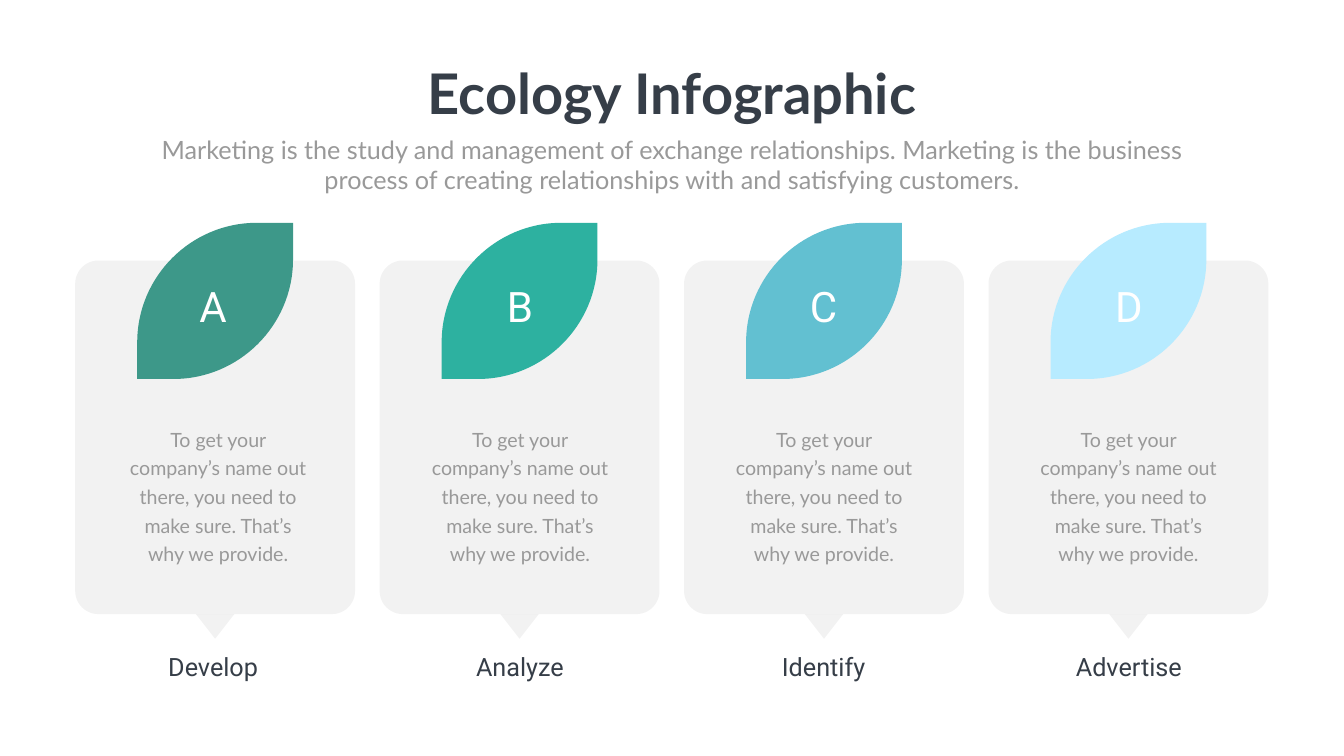
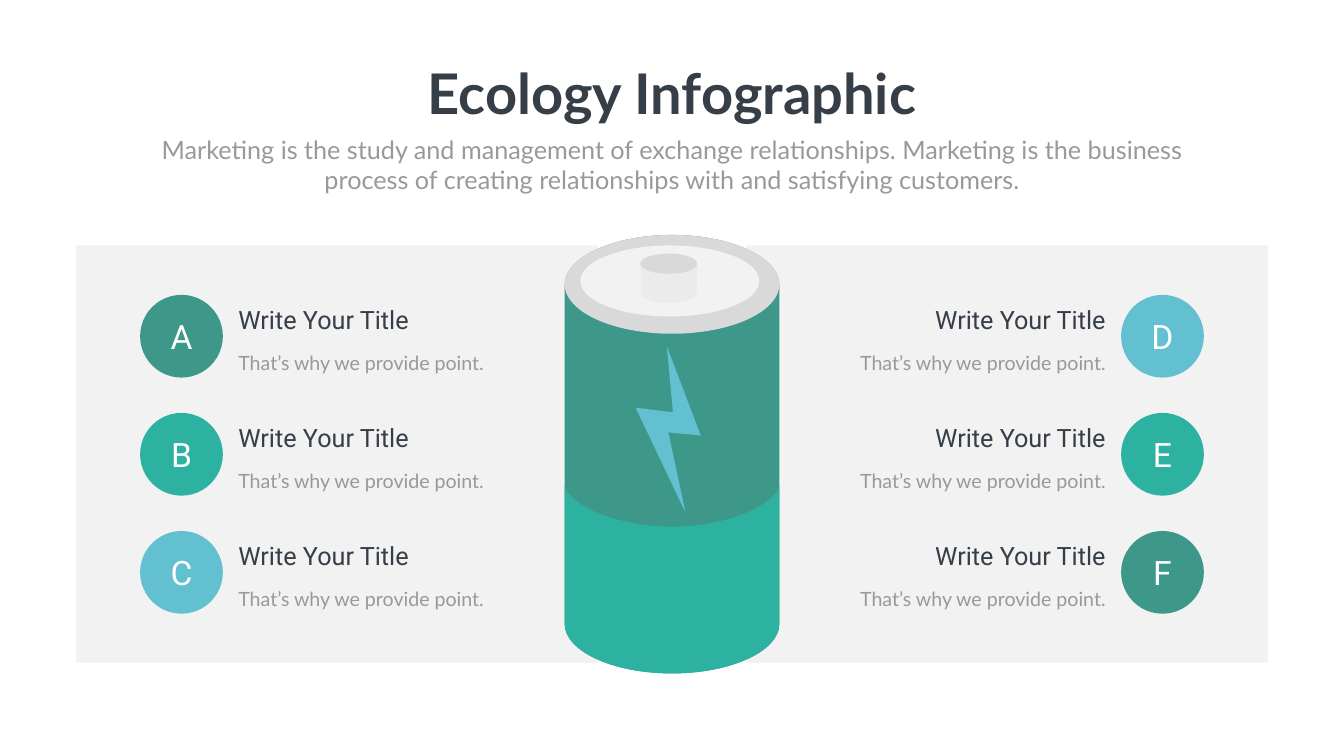
from lxml import etree
from pptx import Presentation
from pptx.dml.color import RGBColor
from pptx.enum.shapes import MSO_SHAPE
from pptx.enum.text import MSO_AUTO_SIZE, PP_ALIGN
from pptx.oxml.ns import qn
from pptx.util import Cm, Pt

ROUNDED = MSO_SHAPE.ROUNDED_RECTANGLE
RECTANGLE = MSO_SHAPE.RECTANGLE
ELLIPSE = MSO_SHAPE.OVAL
POINTER = MSO_SHAPE.FLOWCHART_MERGE
LEFT, CENTER, RIGHT = PP_ALIGN.LEFT, PP_ALIGN.CENTER, PP_ALIGN.RIGHT
FIT_SHAPE = MSO_AUTO_SIZE.SHAPE_TO_FIT_TEXT

SLIDE_WIDTH, SLIDE_HEIGHT = 67.72, 38.1
MIDDLE = SLIDE_WIDTH / 2
ROUNDNESS = 0.55

HEADING_FONT, BODY_FONT = "Roboto", "Lato"
DARK, MUTED, WHITE, VEIL = "363E48", "999999", "FFFFFF", "808080"
GREEN, TEAL, BLUE, SKY = "3D9889", "2DB1A0", "62C0D1", "B7EBFF"
RIM, LID, NUB = "D9D9D9", "F2F2F2", "EBEBEB"

TITLE = "Ecology Infographic"
SUBTITLE = (
    "Marketing is the study and management of exchange relationships. "
    "Marketing is the business process of creating relationships with "
    "and satisfying customers."
)
CARD_TEXT = (
    "To get your company’s name out there, you need to make sure. "
    "That’s why we provide."
)
CARDS = [
    ("A", "Develop", GREEN, 10.74, 10.99),
    ("B", "Analyze", TEAL, 26.2, 26.2),
    ("C", "Identify", BLUE, 41.5, 41.52),
    ("D", "Advertise", SKY, 56.88, 56.86),
]
POINT_TITLE = "Write Your Title"
POINT_TEXT = "That’s why we provide point."
LEFT_POINTS = [("A", GREEN), ("B", TEAL), ("C", BLUE)]
RIGHT_POINTS = [("D", BLUE), ("E", TEAL), ("F", GREEN)]


def rgb(color):
    return RGBColor.from_string(color)


def paint(shape, color, alpha=None):
    shape.shadow.inherit = False
    shape.line.fill.background()
    shape.fill.solid()
    shape.fill.fore_color.rgb = rgb(color)
    if alpha:
        swatch = shape._element.spPr.find(qn("a:solidFill"))[0]
        etree.SubElement(swatch, qn("a:alpha"), val=str(alpha * 1000))
    return shape


def add_block(slide, kind, left, top, width, height, color, alpha=None):
    block = slide.shapes.add_shape(
        kind, Cm(left), Cm(top), Cm(width), Cm(height)
    )
    return paint(block, color, alpha)


def toward(point, corner):
    return tuple(p + ROUNDNESS * (c - p) for p, c in zip(point, corner))


def add_outline(slide, start, steps, color):
    """Each step is (end,) for a line or (corner, end) for a bend."""
    strokes, here = [], start
    for *corner, end in steps:
        bend = [toward(p, c) for c in corner for p in (here, end)]
        strokes.append(bend + [end])
        here = end

    builder = slide.shapes.build_freeform(Cm(start[0]), Cm(start[1]))
    builder.add_line_segments(
        [(Cm(x), Cm(y)) for stroke in strokes for x, y in stroke], close=True
    )
    outline = builder.convert_to_shape()

    segments = iter(list(outline._element.iter(qn("a:lnTo"))))
    for stroke in strokes:
        first, *others = [next(segments) for _ in stroke]
        if others:
            first.tag = qn("a:cubicBezTo")
        for other in others:
            first.append(other[0])
            other.getparent().remove(other)
    return paint(outline, color)


def add_text(slide, left, top, width, height, text, size, color,
             font=HEADING_FONT, align=CENTER, bold=False, spacing=None,
             wrap=True):
    box = slide.shapes.add_textbox(Cm(left), Cm(top), Cm(width), Cm(height))
    frame = box.text_frame
    frame.word_wrap = wrap
    frame.auto_size = FIT_SHAPE
    paragraph = frame.paragraphs[0]
    paragraph.alignment = align
    if spacing:
        paragraph.line_spacing = Pt(spacing)
    run = paragraph.add_run()
    run.text = text
    run.font.size = Pt(size)
    run.font.name = font
    run.font.bold = bold
    run.font.color.rgb = rgb(color)


def add_centered(slide, center, top, width, height, *content, **style):
    add_text(slide, center - width / 2, top, width, height, *content, **style)


def add_header(slide):
    add_centered(slide, MIDDLE, 2.84, 25.68, 3.68, TITLE, 80, DARK,
                 font=BODY_FONT, bold=True, wrap=False)
    add_centered(slide, MIDDLE, 6.63, 52.88, 3.33, SUBTITLE, 36, MUTED,
                 font=BODY_FONT)


def add_leaf(slide, center, top, color):
    width, height, radius = 7.85, 7.87, 6.02
    left, right, bottom = center - width / 2, center + width / 2, top + height
    add_outline(slide, (left, bottom), [
        ((right - radius, bottom),),
        ((right, bottom), (right, bottom - radius)),
        ((right, top),),
        ((left + radius, top),),
        ((left, top), (left, top + radius)),
    ], color)


def add_card(slide, left, letter, label, color, label_center, text_center):
    width, pointer_width = 14.1, 1.93
    center = left + width / 2
    card = add_block(slide, ROUNDED, left, 13.13, width, 17.82, VEIL, 10)
    card.adjustments[0] = 0.083
    add_block(slide, POINTER, center - pointer_width / 2, 30.95,
              pointer_width, 1.24, VEIL, 10)
    add_leaf(slide, center, 11.23, color)
    add_centered(slide, label_center, 14.02, 3, 2.82, letter, 60, WHITE)
    add_centered(slide, text_center, 21.18, 9.52, 7.42, CARD_TEXT, 28, MUTED,
                 font=BODY_FONT, spacing=40.8)
    add_centered(slide, label_center, 32.69, 7.57, 1.8, label, 36, DARK)


def add_panel(slide, points, mirrored):
    def place(left, width):
        return SLIDE_WIDTH - left - width if mirrored else left

    align = RIGHT if mirrored else LEFT
    add_block(slide, RECTANGLE, place(3.84, 26.29), 12.37, 26.29, 21.03,
              VEIL, 10)
    badge = 4.17
    badge_left = place(7.06, badge)
    for row, (letter, color) in enumerate(points):
        top = 14.86 + 5.95 * row
        add_block(slide, ELLIPSE, badge_left, top, badge, badge, color)
        add_centered(slide, badge_left + badge / 2, top + 0.92, 2.51, 2.31,
                     letter, 48, WHITE)
        add_text(slide, place(11.76, 13.59), top + 2.35, 13.59, 1.63,
                 POINT_TEXT, 28, MUTED, font=BODY_FONT, align=align,
                 spacing=43)
        add_text(slide, place(11.76, 11.2), top + 0.36, 11.2, 1.8,
                 POINT_TITLE, 36, DARK, align=align)


def round_base(left, center, right, bottom, cap):
    return [
        ((left, bottom - cap),),
        ((left, bottom), (center, bottom)),
        ((right, bottom), (right, bottom - cap)),
    ]


def add_cylinder(slide, center, top, width, height, cap, color):
    left, right = center - width / 2, center + width / 2
    add_outline(slide, (center, top), [
        ((left, top), (left, top + cap)),
        *round_base(left, center, right, top + height, cap),
        ((right, top + cap),),
        ((right, top), (center, top)),
    ], color)


def add_battery(slide):
    width, height, cap, top = 10.82, 22.1, 2.5, 11.84
    left, right = MIDDLE - width / 2, MIDDLE + width / 2
    add_cylinder(slide, MIDDLE, top, width, height, cap, GREEN)
    add_block(slide, ELLIPSE, left, top, width, 4.98, RIM)
    add_block(slide, ELLIPSE, 29.24, 12.37, 9.02, 3.58, LID)

    edge, dip, slant = 24.51, 26.54, 0.76
    add_outline(slide, (MIDDLE, dip), [
        ((left + slant, dip), (left, edge)),
        *round_base(left, MIDDLE, right, top + height, cap),
        ((right, edge),),
        ((right - slant, dip), (MIDDLE, dip)),
    ], TEAL)

    add_cylinder(slide, 33.71, 12.93, 2.87, 2.34, 0.53, NUB)
    add_block(slide, ELLIPSE, 32.26, 12.78, 2.87, 1.02, RIM)
    bolt = [(35.31, 21.95), (33.68, 21.79), (34.54, 25.83),
            (32.03, 20.55), (33.91, 20.78)]
    add_outline(slide, (33.6, 17.45), [(tip,) for tip in bolt], BLUE)


def add_slide(deck):
    slide = deck.slides.add_slide(deck.slide_layouts[6])
    add_header(slide)
    return slide


def main():
    deck = Presentation()
    deck.slide_width, deck.slide_height = Cm(SLIDE_WIDTH), Cm(SLIDE_HEIGHT)

    cards_slide = add_slide(deck)
    for column, card in enumerate(CARDS):
        add_card(cards_slide, 3.79 + 15.34 * column, *card)

    battery_slide = add_slide(deck)
    add_panel(battery_slide, LEFT_POINTS, mirrored=False)
    add_panel(battery_slide, RIGHT_POINTS, mirrored=True)
    add_battery(battery_slide)

    deck.save("out.pptx")


if __name__ == "__main__":
    main()
